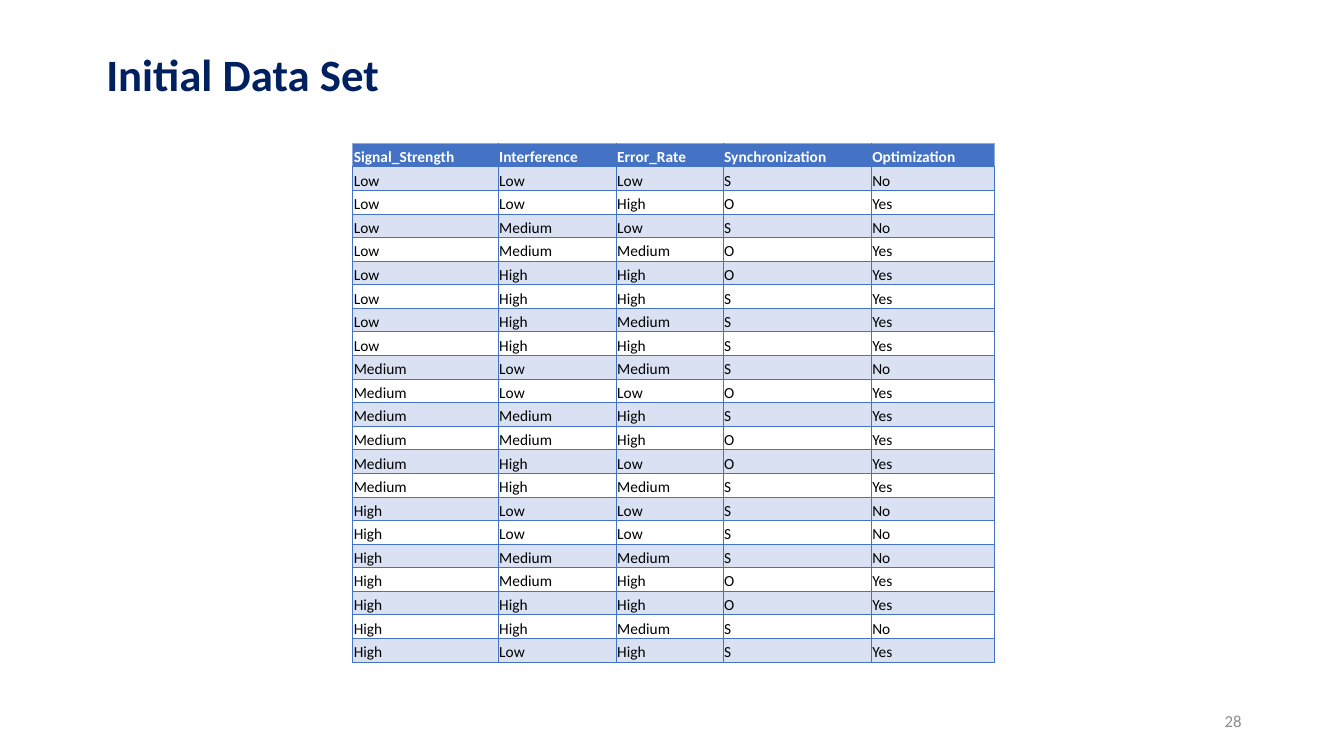
from lxml.etree import SubElement
from pptx import Presentation
from pptx.dml.color import RGBColor
from pptx.enum.text import MSO_ANCHOR as Anchor, MSO_AUTO_SIZE as AutoSize, PP_ALIGN as Align
from pptx.oxml.ns import qn
from pptx.util import Pt

COLORS = {
    "title": "002060",
    "header": "4472C4",
    "header_edge": "8EA9DB",
    "band": "D9E1F2",
    "header_text": "FFFFFF",
    "body_text": "000000",
    "page_number": "8C8C8C",
}
FONT = "Calibri"
COLUMN_WIDTHS = [103.9, 84.3, 76.4, 105.8, 88.2]
HEADERS = ["Signal_Strength", "Interference", "Error_Rate", "Synchronization", "Optimization"]
RECORDS = [line.split() for line in """
Low Low Low S No
Low Low High O Yes
Low Medium Low S No
Low Medium Medium O Yes
Low High High O Yes
Low High High S Yes
Low High Medium S Yes
Low High High S Yes
Medium Low Medium S No
Medium Low Low O Yes
Medium Medium High S Yes
Medium Medium High O Yes
Medium High Low O Yes
Medium High Medium S Yes
High Low Low S No
High Low Low S No
High Medium Medium S No
High Medium High O Yes
High High High O Yes
High High Medium S No
High Low High S Yes
""".strip().splitlines()]


def write_text(paragraph, text, size, color, bold=False, align=Align.LEFT):
    paragraph.alignment = align
    run = paragraph.add_run()
    run.text = text
    for name, value in {"name": FONT, "size": Pt(size), "bold": bold}.items():
        setattr(run.font, name, value)
    run.font.color.rgb = RGBColor.from_string(COLORS[color])


def set_borders(cell, edges):
    """Draw half-point borders; edges maps L, R, T and B, in that order, to colour names."""
    properties = cell._tc.get_or_add_tcPr()
    for index, (side, color) in enumerate(edges.items()):
        line = SubElement(properties, qn(f"a:ln{side}"), w=str(Pt(0.5)))
        fill = SubElement(line, qn("a:solidFill"))
        SubElement(fill, qn("a:srgbClr"), val=COLORS[color])
        properties.insert(index, line)


def format_cell(cell, text, row, column):
    cell_format = {
        "vertical_anchor": Anchor.BOTTOM,
        "margin_left": Pt(0.72),
        "margin_right": Pt(0.72),
        "margin_top": Pt(0.72),
        "margin_bottom": 0,
    }
    for name, value in cell_format.items():
        setattr(cell, name, value)
    is_header = row == 0
    write_text(cell.text_frame.paragraphs[0], text, 11,
               "header_text" if is_header else "body_text", bold=is_header)
    if is_header or row % 2:
        cell.fill.solid()
        cell.fill.fore_color.rgb = RGBColor.from_string(COLORS["header" if is_header else "band"])
    else:
        cell.fill.background()
    edges = dict.fromkeys("LRTB", "header")
    if is_header:
        edges["T"] = "header_edge"
        if column == 0:
            edges["L"] = "header_edge"
        if column == len(HEADERS) - 1:
            edges["R"] = "header_edge"
    set_borders(cell, edges)


def add_data_table(slide, left, top, width, height):
    rows = [HEADERS, *RECORDS]
    table = slide.shapes.add_table(len(rows), len(HEADERS), Pt(left), Pt(top),
                                   Pt(width), Pt(height)).table
    table.first_row = table.horz_banding = False
    for column, share in zip(table.columns, COLUMN_WIDTHS):
        column.width = Pt(width * share / sum(COLUMN_WIDTHS))
    for row_index, values in enumerate(rows):
        table.rows[row_index].height = Pt(height / len(rows))
        for column_index, text in enumerate(values):
            format_cell(table.cell(row_index, column_index), text, row_index, column_index)


def add_title(slide, left, top, width, height):
    title = slide.shapes.title
    for name, value in {"left": left, "top": top, "width": width, "height": height}.items():
        setattr(title, name, Pt(value))
    frame = title.text_frame
    frame.word_wrap = False
    frame.auto_size = AutoSize.SHAPE_TO_FIT_TEXT
    frame.vertical_anchor = Anchor.TOP
    write_text(frame.paragraphs[0], "Initial Data Set", 32, "title", bold=True)


def add_page_number(slide, left, top, width, height):
    frame = slide.shapes.add_textbox(Pt(left), Pt(top), Pt(width), Pt(height)).text_frame
    frame.word_wrap = True
    frame.vertical_anchor = Anchor.MIDDLE
    write_text(frame.paragraphs[0], "28", 12, "page_number", align=Align.RIGHT)


def main():
    presentation = Presentation()
    presentation.slide_width = Pt(960)
    presentation.slide_height = Pt(540)
    slide = presentation.slides.add_slide(presentation.slide_layouts[5])
    add_title(slide, 68.7, 29.5, 215.3, 46.1)
    add_data_table(slide, 252, 102.3, 458.6, 371)
    add_page_number(slide, 678, 500.5, 216, 28.8)
    presentation.save("out.pptx")


if __name__ == "__main__":
    main()
